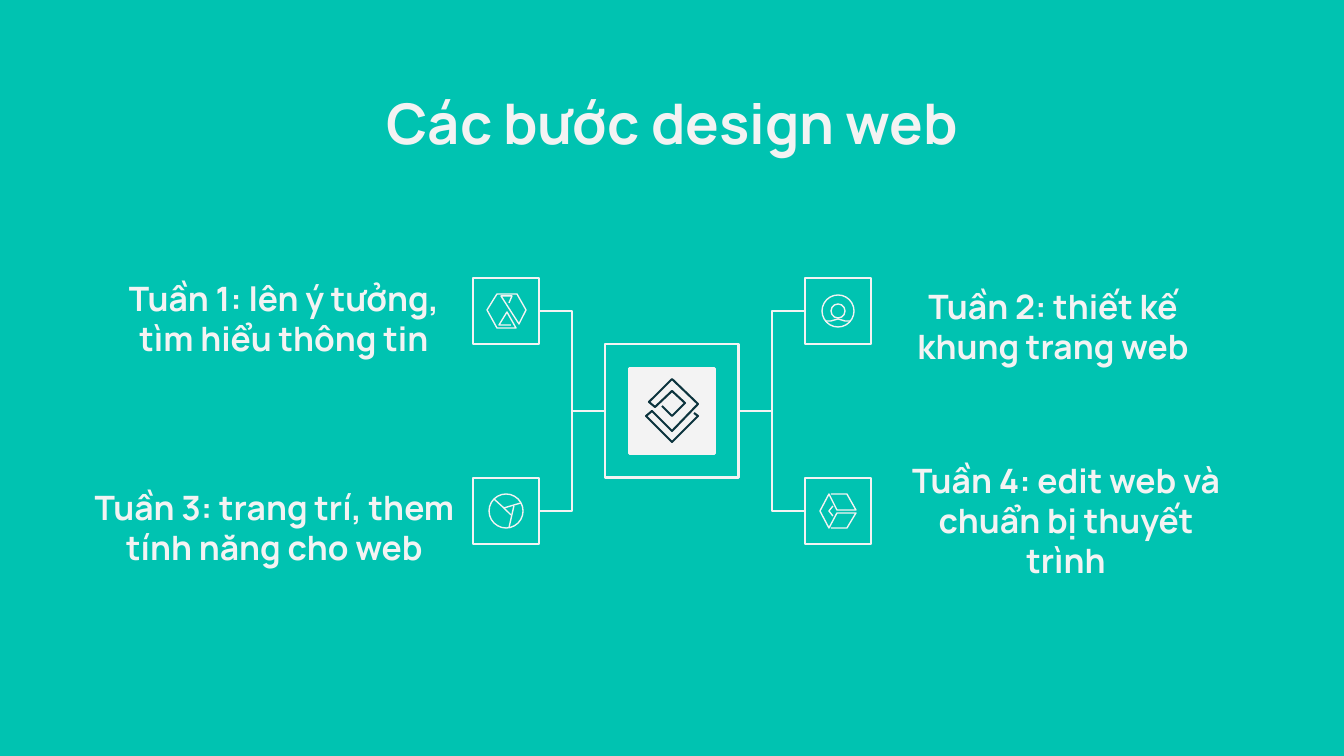
from dataclasses import dataclass

from lxml.etree import SubElement
from pptx import Presentation
from pptx.dml.color import RGBColor
from pptx.enum.shapes import MSO_CONNECTOR as Connector, MSO_SHAPE as Preset
from pptx.enum.text import MSO_ANCHOR as Anchor, PP_ALIGN as Align
from pptx.oxml.ns import qn
from pptx.util import Emu, Inches, Pt

PX_PER_INCH = 134.4
EMU_PER_PX = 914400 / PX_PER_INCH
TEAL, PALE, NAVY = "00C3B1", "F3F3F3", "0C343D"
FONT = "Manrope"
FRAME_PT, ICON_PT = 1.5, 0.75

Point = tuple[int, int]


@dataclass(frozen=True)
class Icon:
    """Strokes and circle radii, in px from the icon's centre."""
    strokes: list[list[Point]]
    radii: tuple[int, ...] = ()


@dataclass(frozen=True)
class Step:
    center: Point
    icon: Icon
    text: str
    text_box: tuple[int, int, int, int]


def px(length: float) -> Emu:
    return Emu(round(length * EMU_PER_PX))


def color(value: str) -> RGBColor:
    return RGBColor.from_string(value)


def set_outline(shape, line_color: str, width: float) -> None:
    shape.line.color.rgb = color(line_color)
    shape.line.width = Pt(width)


def add_centered(page, preset, center: Point, size: int, width: float, fill: str = "") -> None:
    x, y = center
    shape = page.shapes.add_shape(
        preset, px(x - size / 2), px(y - size / 2), px(size), px(size))
    shape.shadow.inherit = False
    if fill:
        shape.fill.solid()
        shape.fill.fore_color.rgb = color(fill)
    else:
        shape.fill.background()
    set_outline(shape, PALE, width)


def add_icon(page, icon: Icon, center: Point, line_color: str, width: float) -> None:
    first, *others = icon.strokes
    builder = page.shapes.build_freeform(*first[0], scale=EMU_PER_PX)
    builder.add_line_segments(first[1:], close=False)
    for stroke in others:
        builder.move_to(*stroke[0])
        builder.add_line_segments(stroke[1:], close=False)
    drawing = builder.convert_to_shape(px(center[0]), px(center[1]))
    drawing.shadow.inherit = False
    drawing.fill.background()
    set_outline(drawing, line_color, width)
    for radius in icon.radii:
        add_centered(page, Preset.OVAL, center, 2 * radius, width)


def add_elbow(page, start: Point, end: Point) -> None:
    elbow = page.shapes.add_connector(
        Connector.ELBOW, *(px(value) for value in (*start, *end)))
    set_outline(elbow, PALE, FRAME_PT)
    SubElement(elbow._element.spPr, qn("a:effectLst"))


def add_text(page, text: str, box: tuple[int, int, int, int], size: int,
             anchor=Anchor.MIDDLE, space_after: int = 16) -> None:
    frame = page.shapes.add_textbox(*(px(value) for value in box)).text_frame
    frame.word_wrap = True
    frame.vertical_anchor = anchor
    frame.margin_left = frame.margin_right = Inches(0.1)
    frame.margin_top = frame.margin_bottom = Inches(0.1)
    para = frame.paragraphs[0]
    para.alignment = Align.CENTER
    para.space_after = Pt(space_after)
    span = para.add_run()
    span.text = text
    span.font.name = FONT
    span.font.size = Pt(size)
    span.font.bold = True
    span.font.color.rgb = color(PALE)


# Icons
LAYERS = Icon([[(-10, -5), (0, 5), (13, -8), (0, -20), (-17, -4), (-23, -9), (0, -32),
                (26, -7), (0, 20), (-20, 0), (-26, 5), (0, 31), (26, 5), (22, 2)]])
HOURGLASS = Icon([[(3, -8), (6, -15), (-5, -15), (13, 13), (20, -1), (11, -17), (-9, -17),
                   (-19, -1), (-9, 17), (10, 17), (1, 1), (-7, 14), (5, 14)]])
PERSON = Icon([[(-13, 10), (-7, 10), (0, 8), (7, 10), (13, 10)]], (16, 7))
PIE = Icon([[(-12, -12), (-2, -3), (5, 4)], [(-2, -3), (15, -8)], [(8, -5), (3, 17)]], (17,))
CUBE = Icon([[(-7, -17), (9, -17), (18, -1), (-1, -1), (-9, -17), (-18, 0), (-9, 17),
              (-1, 2), (18, 2), (9, 17), (-7, 17)], [(-5, -5), (-9, 0), (-5, 5)]])

# Layout: four step boxes placed evenly around the hub
HUB = (672, 411)
HUB_SIZE, TILE_SIZE, STEP_SIZE = 134, 85, 66
LEFT, RIGHT = HUB[0] - 166, HUB[0] + 166
TOP, BOTTOM = HUB[1] - 100, HUB[1] + 100

STEPS = [
    Step((LEFT, TOP), HOURGLASS, "Tuần 1: lên ý tưởng, tìm hiểu thông tin", (101, 251, 366, 134)),
    Step((RIGHT, TOP), PERSON, "Tuần 2: thiết kế khung trang web", (870, 259, 366, 134)),
    Step((LEFT, BOTTOM), PIE, "Tuần 3: trang trí, them tính năng cho web", (70, 460, 409, 134)),
    Step((RIGHT, BOTTOM), CUBE, "Tuần 4: edit web và chuẩn bị thuyết trình", (883, 453, 366, 134)),
]


def main() -> None:
    deck = Presentation()
    deck.slide_width, deck.slide_height = px(1344), px(756)
    page = deck.slides.add_slide(deck.slide_layouts[6])
    page.background.fill.solid()
    page.background.fill.fore_color.rgb = color(TEAL)

    # Title
    add_text(page, "Các bước design web", (106, 75, 1133, 85), 30, Anchor.TOP, 0)

    # Hub
    add_centered(page, Preset.RECTANGLE, HUB, HUB_SIZE, FRAME_PT)
    add_centered(page, Preset.RECTANGLE, HUB, TILE_SIZE, FRAME_PT, PALE)
    add_icon(page, LAYERS, HUB, NAVY, 1.1)

    # Steps, each joined to the hub
    for step in STEPS:
        x, y = step.center
        side = 1 if x > HUB[0] else -1
        add_centered(page, Preset.RECTANGLE, step.center, STEP_SIZE, FRAME_PT)
        add_icon(page, step.icon, step.center, PALE, ICON_PT)
        add_elbow(page, (HUB[0] + side * HUB_SIZE // 2, HUB[1]), (x - side * STEP_SIZE // 2, y))
        add_text(page, step.text, step.text_box, 18)

    deck.save("out.pptx")


if __name__ == "__main__":
    main()
